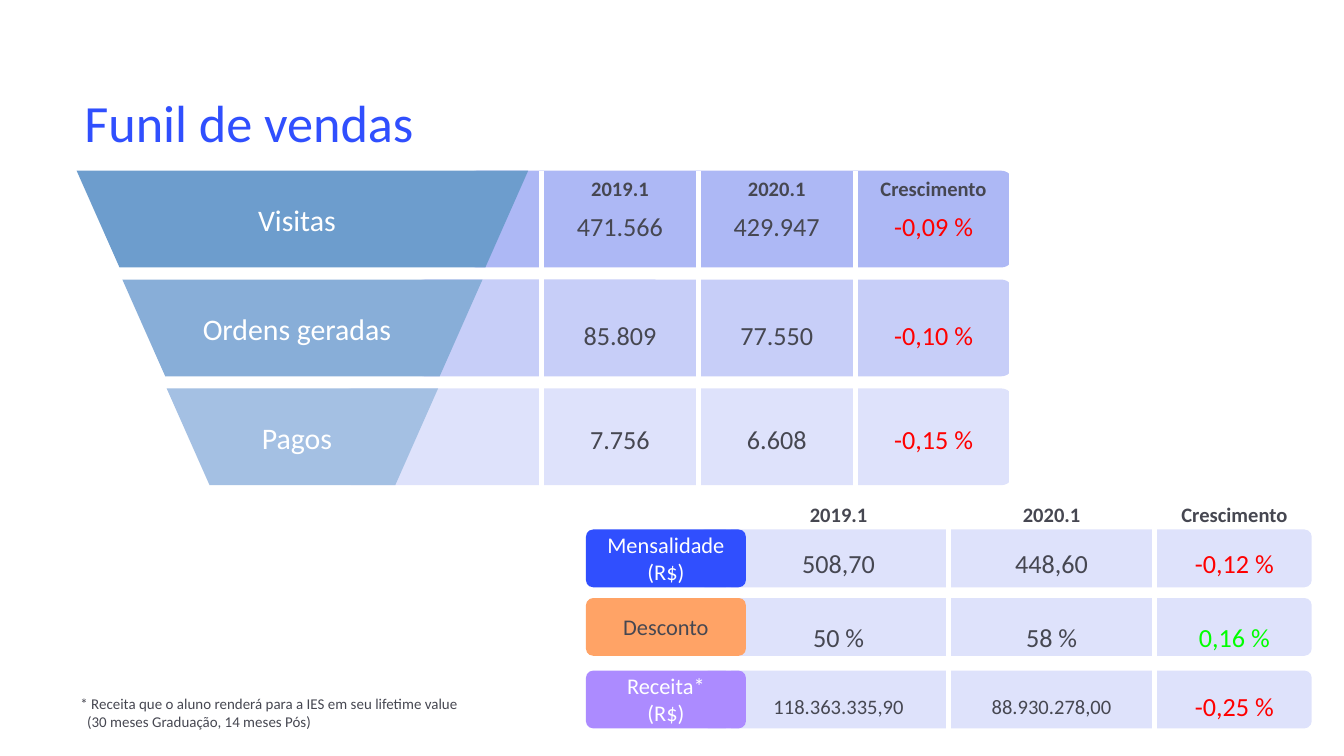
"""Build the sales funnel slide with its two comparison tables."""
from lxml import etree
from pptx import Presentation
from pptx.dml.color import RGBColor
from pptx.enum import shapes, text
from pptx.oxml import ns, parse_xml
from pptx.util import Inches, Pt

THEME = dict(
    font="Calibri", ink="464751", white="FFFFFF", blue="304FFE", band="0123E1",
    orange="FFA366", purple="AC8BFF", down="FF0000", up="00FF00",
    title=28, stage=16, value=14, card=12, head=11, note=8, empty=1,
)
HEAD = ("2019.1", "2020.1", "Crescimento")
STAGES = [
    dict(name="Visitas", fill="6D9DCD", left=0.57, band_left=3.46, alpha=32),
    dict(name="Ordens geradas", fill="88AED8", left=0.91, band_left=3.07, alpha=22),
    dict(name="Pagos", fill="A4C0E3", left=1.24, band_left=2.53, alpha=13),
]
CARDS = [
    dict(lines=["Mensalidade (R$)"], fill="blue", color="white", top=3.94, band_left=5.19),
    dict(lines=["Desconto"], fill="orange", color="ink", top=4.45, band_left=5.22),
    dict(lines=["Receita*", "(R$)"], fill="purple", color="white", top=4.99, band_left=5.22),
]
FUNNEL_TABLE = dict(
    left=4.03, top=1.27, cols=[3.5 / 3] * 3, heights=[0.25] * 9,
    rows={0: HEAD, 1: ("471.566", "429.947", "-0,09 %"),
          4: ("85.809", "77.550", "-0,10 %"), 7: ("7.756", "6.608", "-0,15 %")},
    single=7, small=[],
)
REVENUE_TABLE = dict(
    left=5.42, top=3.69, cols=[1.64, 1.53, 1.19],
    heights=[0.23, 0.09, 0.29, 0.24, 0.29, 0.24, 0.26, 0.24],
    rows={0: HEAD, 2: ("508,70", "448,60", "-0,12 %"), 4: ("50 %", "58 %", "0,16 %"),
          6: ("118.363.335,90", "88.930.278,00", "-0,25 %")},
    single=6, small=[(6, 0), (6, 1)],
)
NOTE = ["* Receita que o aluno renderá para a IES em seu lifetime value",
        "(30 meses Graduação, 14 meses Pós)"]
FUNNEL_TOP, FUNNEL_STEP, FUNNEL_H, FUNNEL_MID, FUNNEL_RIGHT = 1.27, 0.81, 0.72, 2.25, 7.54
CARD_LEFT, CARD_W, CARD_H, CARD_RIGHT = 4.36, 1.19, 0.43, 9.76
CENTER = text.PP_ALIGN.CENTER
NO_GRID = "{2D5ABB26-0587-4C30-8999-92F81FD0307C}"


def rgb(name):
    return RGBColor.from_string(THEME.get(name, name))


def write(tf, lines, size, color, align=None, bold=False, spacing=None):
    tf.text = "\n".join(lines)
    for p in tf.paragraphs:
        p.alignment = align
        p.line_spacing = spacing
        for r in p.runs:
            r.font.name, r.font.size, r.font.bold = THEME["font"], Pt(THEME[size]), bold
            r.font.color.rgb = rgb(color)


def add_shape(kind, left, top, width, height, fill, adj, alpha=None):
    sp = s.shapes.add_shape(kind, Inches(left), Inches(top), Inches(width), Inches(height))
    sp.adjustments[0] = adj
    sp.shadow.inherit = False
    sp.fill.solid()
    sp.fill.fore_color.rgb = rgb(fill)
    sp.line.fill.background()
    if alpha:
        clr = sp.fill._xPr.find(".//" + ns.qn("a:srgbClr"))
        etree.SubElement(clr, ns.qn("a:alpha")).set("val", str(alpha * 1000))
    return sp


def add_band(left, right, top, height, alpha):
    add_shape(shapes.MSO_SHAPE.ROUNDED_RECTANGLE, left, top, right - left, height,
              "band", 0.125, alpha)


def add_text(left, top, width, height, lines, size, color, align=None):
    sp = s.shapes.add_textbox(Inches(left), Inches(top), Inches(width), Inches(height))
    sp.text_frame.word_wrap = True
    write(sp.text_frame, lines, size, color, align)
    return sp


def side_border(side):
    return parse_xml(
        f'<a:{side} {ns.nsdecls("a")} w="{Pt(3)}"><a:solidFill>'
        f'<a:srgbClr val="{THEME["white"]}"/></a:solidFill></a:{side}>')


def fill_cell(cell, value, row, col, data):
    cell.margin_left = cell.margin_right = Inches(0.03)
    cell.margin_top = cell.margin_bottom = Inches(0.02)
    cell.vertical_anchor = text.MSO_ANCHOR.MIDDLE
    cell.fill.background()
    tc_pr = cell._tc.get_or_add_tcPr()
    for i, side in enumerate(("lnL", "lnR")):
        tc_pr.insert(i, side_border(side))
    if not value:
        end = etree.SubElement(cell.text_frame.paragraphs[0]._p, ns.qn("a:endParaRPr"))
        end.set("sz", str(THEME["empty"] * 100))
        return
    size = "head" if row == 0 or (row, col) in data["small"] else "value"
    color = "ink"
    if row and col == 2:
        color = "down" if value.startswith("-") else "up"
    write(cell.text_frame, [value], size, color, CENTER, row == 0,
          None if row == data["single"] else 1.15)


def add_table(data):
    cols, heights = data["cols"], data["heights"]
    gf = s.shapes.add_table(len(heights), len(cols), Inches(data["left"]), Inches(data["top"]),
                            Inches(sum(cols)), Inches(sum(heights)))
    tbl = gf.table
    tbl.first_row = tbl.horz_banding = False
    tbl._tbl.tblPr[0].text = NO_GRID
    for col, width in zip(tbl.columns, cols):
        col.width = Inches(width)
    for i, height in enumerate(heights):
        tbl.rows[i].height = Inches(height)
        for j, value in enumerate(data["rows"].get(i, [""] * len(cols))):
            fill_cell(tbl.cell(i, j), value, i, j, data)


prs = Presentation()
prs.slide_width, prs.slide_height = Inches(10), Inches(10 * 9 / 16)
s = prs.slides.add_slide(prs.slide_layouts[6])

tops = [FUNNEL_TOP + i * FUNNEL_STEP for i in range(len(STAGES))]
for top, stage in zip(tops, STAGES):
    add_band(stage["band_left"], FUNNEL_RIGHT, top, FUNNEL_H, stage["alpha"])
for top, stage in zip(tops, STAGES):
    sp = add_shape(shapes.MSO_SHAPE.TRAPEZOID, stage["left"], top,
                   2 * (FUNNEL_MID - stage["left"]), FUNNEL_H, stage["fill"], 0.443)
    sp.rotation = 180
for top, stage in zip(tops, STAGES):
    add_text(1.31, top + 0.18, 1.8, 0.37, [stage["name"]], "stage", "white", CENTER)
add_table(FUNNEL_TABLE)

title = add_text(0.53, 0.55, 7.93, 0.71, ["Funil de vendas"], "title", "blue")
title.text_frame.vertical_anchor = text.MSO_ANCHOR.MIDDLE

for card in CARDS:
    add_band(card["band_left"], CARD_RIGHT, card["top"], CARD_H, 13)
add_table(REVENUE_TABLE)
for card in CARDS:
    sp = add_shape(shapes.MSO_SHAPE.ROUNDED_RECTANGLE, CARD_LEFT, card["top"], CARD_W, CARD_H,
                   card["fill"], 0.125)
    tf = sp.text_frame
    tf.margin_left = tf.margin_right = tf.margin_top = tf.margin_bottom = Inches(0.1)
    tf.vertical_anchor = text.MSO_ANCHOR.MIDDLE
    write(tf, card["lines"], "card", card["color"], CENTER)

note = add_text(0.5, 5.12, 3.26, 0.37, NOTE, "note", "ink")
note.text_frame.paragraphs[1]._p.get_or_add_pPr().set("marL", str(Inches(0.05)))

prs.save("out.pptx")
